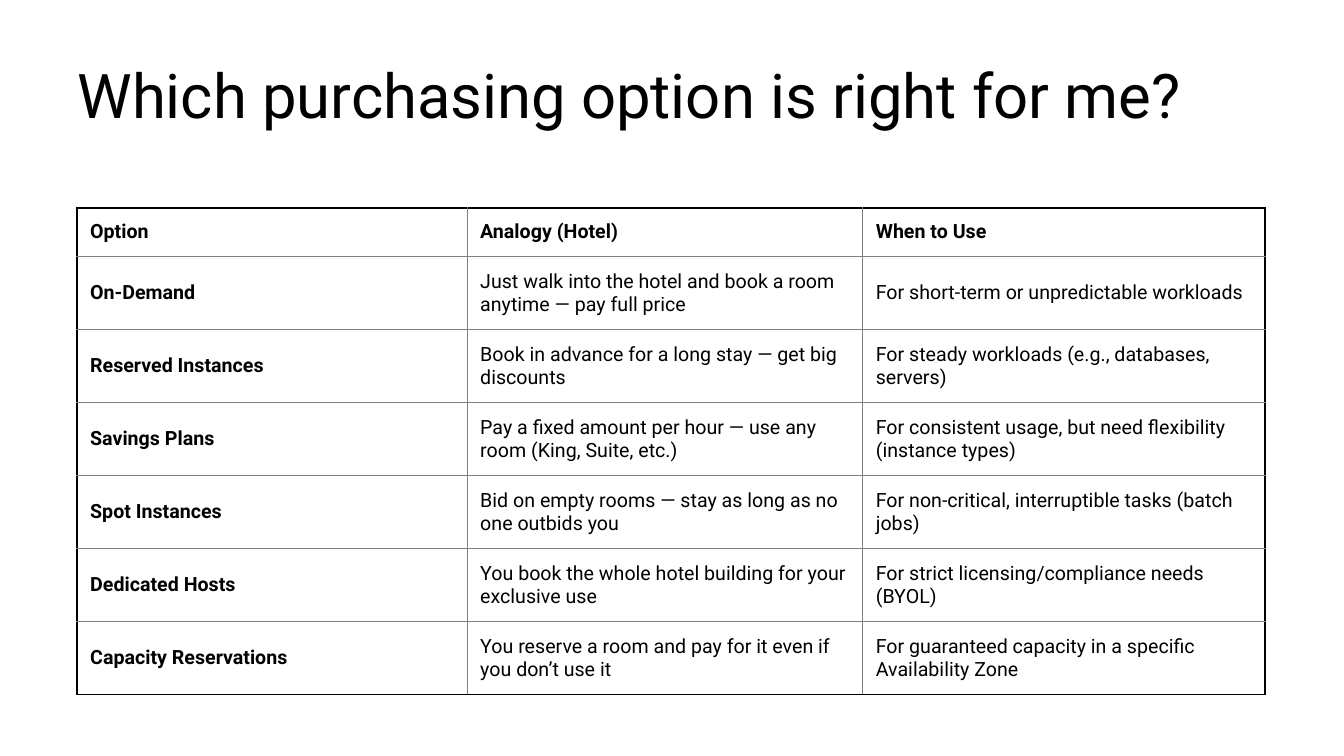
from lxml.etree import SubElement
from pptx import Presentation
from pptx.dml.color import RGBColor
from pptx.enum.text import MSO_ANCHOR
from pptx.oxml.ns import qn
from pptx.util import Pt

BLACK = RGBColor(0, 0, 0)
GREY = RGBColor(128, 128, 128)
WHITE = RGBColor(255, 255, 255)
FONT = "Roboto"
WIDTHS = (278.64, 282.6, 287.28)
HEAD = 35
BODY = 52.15
ROWS = (
    ("Option", "Analogy (Hotel)", "When to Use"),
    ("On-Demand", "Just walk into the hotel and book a room anytime — pay full price",
     "For short-term or unpredictable workloads"),
    ("Reserved Instances", "Book in advance for a long stay — get big discounts",
     "For steady workloads (e.g., databases, servers)"),
    ("Savings Plans", "Pay a fixed amount per hour — use any room (King, Suite, etc.)",
     "For consistent usage, but need flexibility (instance types)"),
    ("Spot Instances", "Bid on empty rooms — stay as long as no one outbids you",
     "For non-critical, interruptible tasks (batch jobs)"),
    ("Dedicated Hosts", "You book the whole hotel building for your exclusive use",
     "For strict licensing/compliance needs (BYOL)"),
    ("Capacity Reservations", "You reserve a room and pay for it even if you don’t use it",
     "For guaranteed capacity in a specific Availability Zone"),
)


def format(item, values):
    for name, value in values.items():
        setattr(item, name, value)


def write(frame, text, size, bold=False):
    part = frame.paragraphs[0]
    run = part.add_run()
    run.text = text
    format(run.font, {"name": FONT, "size": Pt(size), "bold": bold})
    run.font.color.rgb = BLACK
    return part


def border(cell, outer):
    props = cell._tc.get_or_add_tcPr()
    for side in "LRTB":
        color, width = (BLACK, 1.5) if side in outer else (GREY, 0.5)
        line = SubElement(props, qn(f"a:ln{side}"), w=str(Pt(width)))
        fill = SubElement(line, qn("a:solidFill"))
        SubElement(fill, qn("a:srgbClr"), val=str(color))


def title(slide, left, top, width, height):
    box = slide.shapes.add_textbox(Pt(left), Pt(top), Pt(width), Pt(height))
    format(box.text_frame, {"word_wrap": True, "vertical_anchor": MSO_ANCHOR.TOP})
    part = write(box.text_frame, "Which purchasing option is right for me?", 44)
    part.line_spacing = 0.9


def options(slide, left, top, width, height):
    table = slide.shapes.add_table(len(ROWS), len(WIDTHS), Pt(left), Pt(top),
                                   Pt(width), Pt(height)).table
    format(table, {"first_row": False, "horz_banding": False})
    for column, size in zip(table.columns, WIDTHS):
        column.width = Pt(size)
    for i, texts in enumerate(ROWS):
        table.rows[i].height = Pt(BODY if i else HEAD)
        for j, text in enumerate(texts):
            cell = table.cell(i, j)
            format(cell, {
                "vertical_anchor": MSO_ANCHOR.MIDDLE,
                "margin_left": Pt(9.5), "margin_right": Pt(7.2),
                "margin_top": Pt(7.2), "margin_bottom": Pt(7.2),
            })
            edges = {"L": j == 0, "R": j == len(WIDTHS) - 1,
                     "T": i == 0, "B": i == len(ROWS) - 1}
            border(cell, [side for side, edge in edges.items() if edge])
            cell.fill.solid()
            cell.fill.fore_color.rgb = WHITE
            write(cell.text_frame, text, 14, i == 0 or j == 0)


def main():
    deck = Presentation()
    format(deck, {"slide_width": Pt(960), "slide_height": Pt(540)})
    slide = deck.slides.add_slide(deck.slide_layouts[6])
    title(slide, 48.24, 43.2, 861.84, 89.28)
    options(slide, 54.9, 148.3, sum(WIDTHS), HEAD + BODY * (len(ROWS) - 1))
    deck.save("out.pptx")


if __name__ == "__main__":
    main()
